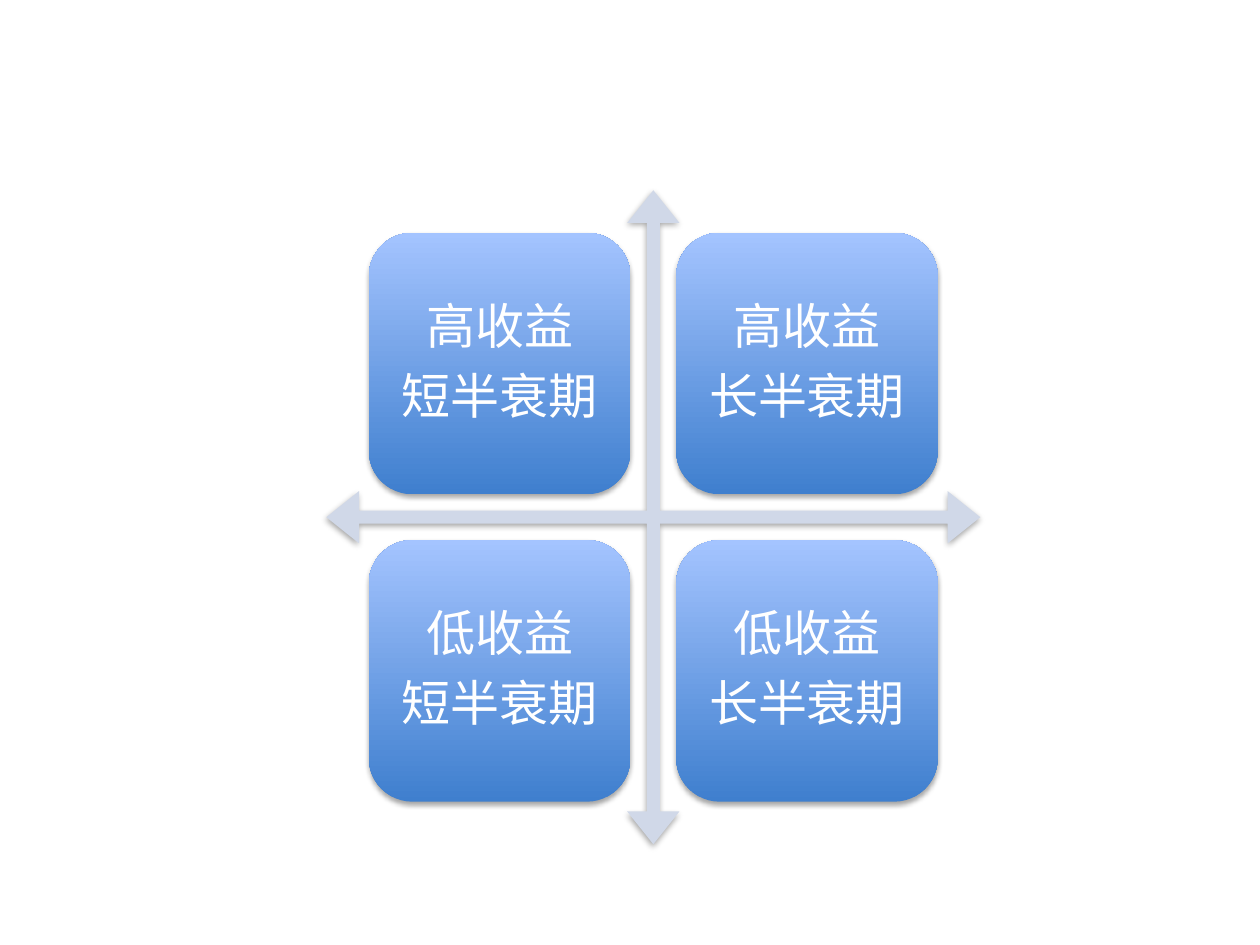
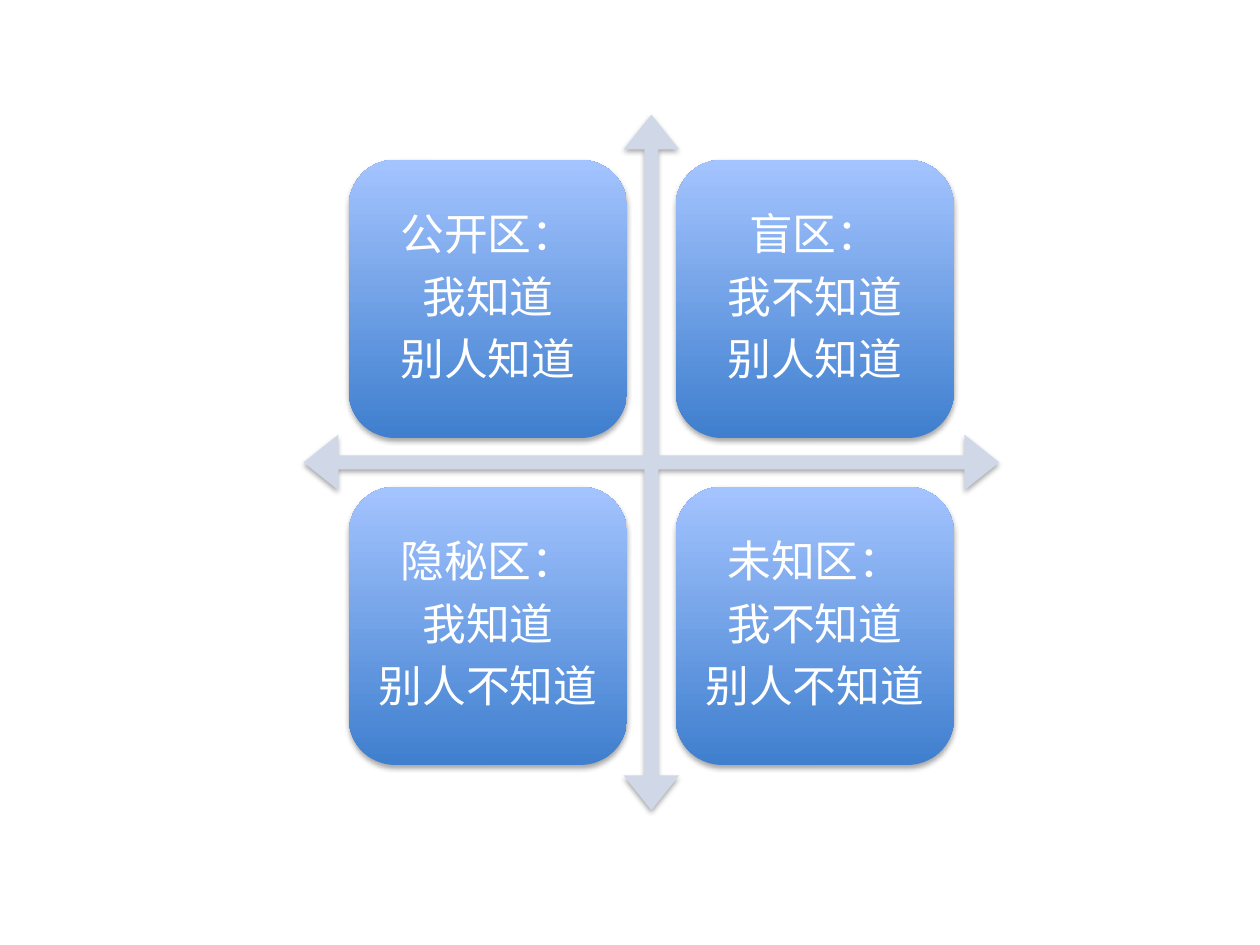
"""Build two slides, each a four-quadrant matrix of rounded tiles over a cross arrow."""
from lxml import etree
from pptx import Presentation
from pptx.dml.color import RGBColor
from pptx.enum import shapes, text
from pptx.oxml.ns import qn
from pptx.util import Inches, Pt

WHITE = RGBColor(0xFF, 0xFF, 0xFF)
ARROW_GREY = RGBColor(0xD0, 0xD8, 0xE8)
TILE_DARK = RGBColor(0x3F, 0x7F, 0xCE)
TILE_LIGHT = RGBColor(0xA4, 0xC4, 0xFF)
FONT = "Calibri"

TILE_SHARE = 0.4
MARGIN_SHARE = 0.065
STEP_SHARE = 0.47

MATRICES = [
    {
        "left": 2.59, "top": 1.51, "side": 5.19, "font_size": 28, "inset": 0.12,
        "tiles": [
            ["高收益", "短半衰期"],
            ["高收益", "长半衰期"],
            ["低收益", "短半衰期"],
            ["低收益", "长半衰期"],
        ],
    },
    {
        "left": 2.41, "top": 0.91, "side": 5.52, "font_size": 25, "inset": 0.1,
        "tiles": [
            ["公开区：", "我知道", "别人知道"],
            ["盲区：", "我不知道", "别人知道"],
            ["隐秘区：", "我知道", "别人不知道"],
            ["未知区：", "我不知道", "别人不知道"],
        ],
    },
]


def add_soft_shape(group, kind, left, top, side):
    shape = group.shapes.add_shape(kind, Inches(left), Inches(top), Inches(side), Inches(side))
    shape.line.fill.background()
    shape.shadow.inherit = False
    effects = shape._element.spPr.find(qn("a:effectLst"))
    shadow = etree.SubElement(
        effects, qn("a:outerShdw"), blurRad=str(Pt(3.1)), dist=str(Pt(1.8)),
        dir="5400000", rotWithShape="0",
    )
    color = etree.SubElement(shadow, qn("a:srgbClr"), val="000000")
    etree.SubElement(color, qn("a:alpha"), val="35000")
    return shape


def write_lines(shape, lines, font_size, inset):
    frame = shape.text_frame
    frame.word_wrap = True
    frame.vertical_anchor = text.MSO_ANCHOR.MIDDLE
    frame.margin_left = frame.margin_right = Inches(inset)
    frame.margin_top = frame.margin_bottom = Inches(inset)
    for index, line in enumerate(lines):
        paragraph = frame.add_paragraph() if index else frame.paragraphs[0]
        paragraph.alignment = text.PP_ALIGN.CENTER
        paragraph.line_spacing = 0.9
        space_after = etree.SubElement(paragraph._p.get_or_add_pPr(), qn("a:spcAft"))
        etree.SubElement(space_after, qn("a:spcPct"), val="35000")
        run = paragraph.add_run()
        run.text = line
        run.font.name = FONT
        run.font.size = Pt(font_size)
        run.font.color.rgb = WHITE


presentation = Presentation()
presentation.slide_width = Inches(10)
presentation.slide_height = Inches(7.5)

for matrix in MATRICES:
    slide = presentation.slides.add_slide(presentation.slide_layouts[6])
    group = slide.shapes.add_group_shape()
    side = matrix["side"]

    arrow = add_soft_shape(
        group, shapes.MSO_SHAPE.QUAD_ARROW, matrix["left"], matrix["top"], side
    )
    arrow.fill.solid()
    arrow.fill.fore_color.rgb = ARROW_GREY
    for index, value in enumerate([0.02, 0.04, 0.05]):
        arrow.adjustments[index] = value

    for index, lines in enumerate(matrix["tiles"]):
        row, column = divmod(index, 2)
        tile = add_soft_shape(
            group, shapes.MSO_SHAPE.ROUNDED_RECTANGLE,
            matrix["left"] + side * (MARGIN_SHARE + column * STEP_SHARE),
            matrix["top"] + side * (MARGIN_SHARE + row * STEP_SHARE),
            side * TILE_SHARE,
        )
        tile.fill.gradient()
        tile.fill.gradient_angle = 90
        for stop, color in zip(tile.fill.gradient_stops, [TILE_DARK, TILE_LIGHT]):
            stop.color.rgb = color
        write_lines(tile, lines, matrix["font_size"], matrix["inset"])

presentation.save("out.pptx")
